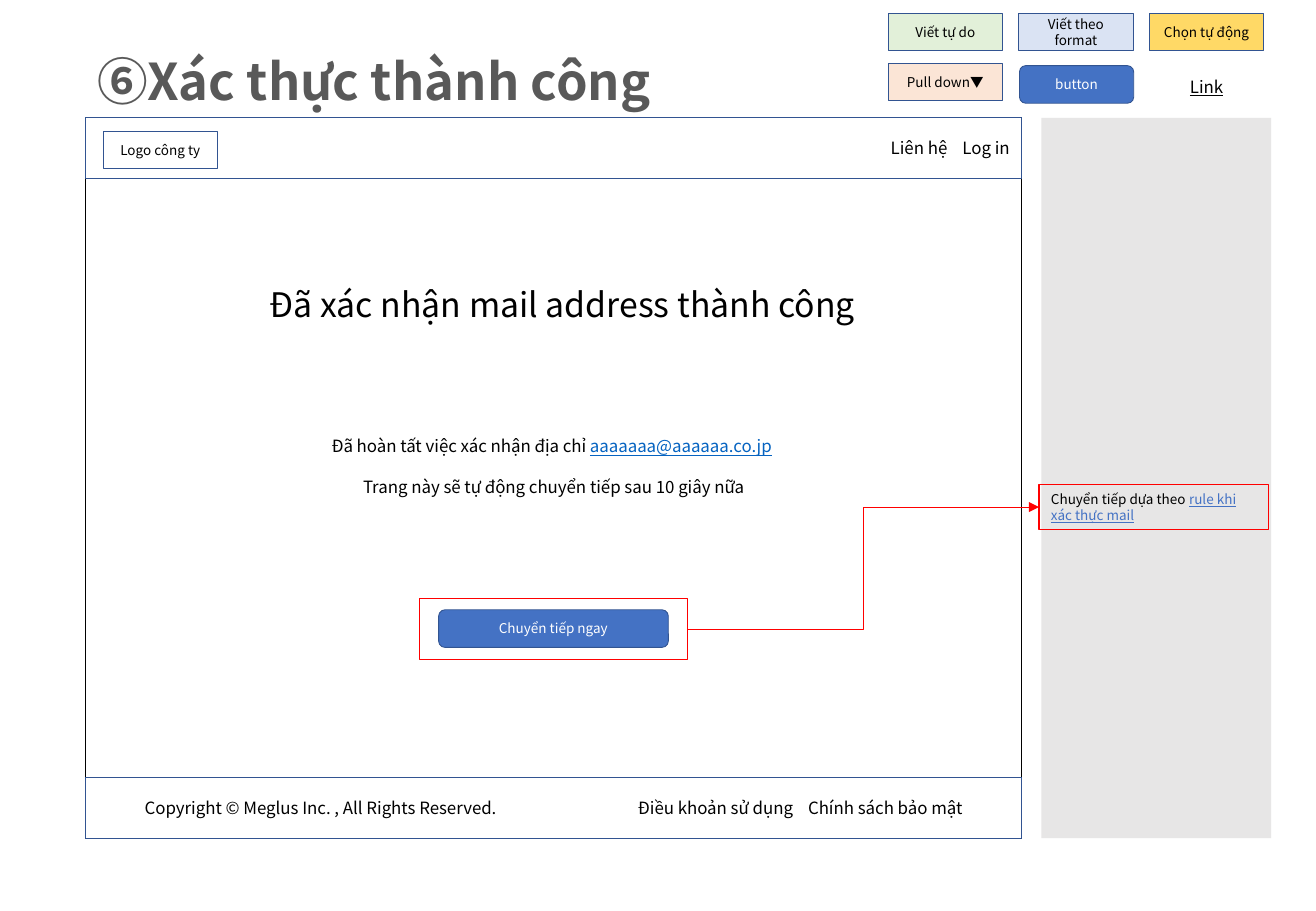
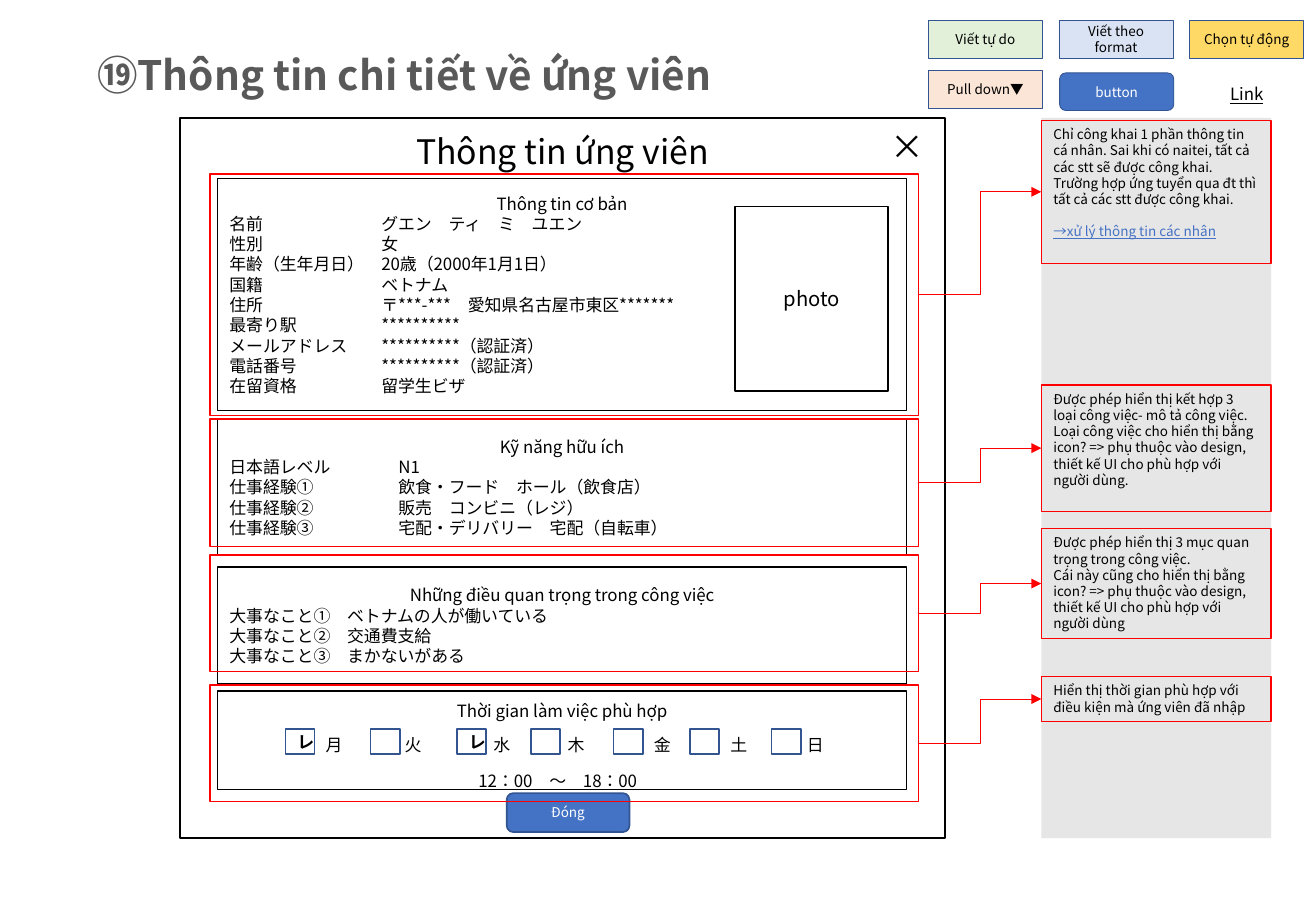
from lxml.etree import SubElement
from pptx import Presentation
from pptx.dml.color import RGBColor
from pptx.enum.shapes import MSO_CONNECTOR, MSO_SHAPE
from pptx.enum.text import MSO_ANCHOR, PP_ALIGN
from pptx.oxml.ns import qn
from pptx.util import Inches, Pt

COLORS = {
    "ink": "000000", "title": "595959", "white": "FFFFFF", "sidebar": "E7E6E6",
    "blue": "4472C4", "navy": "325491", "red": "FF0000", "mail": "0563C1",
    "green": "E2F0D9", "peach": "FBE5D6", "sky": "DAE3F3", "gold": "FFD966",
}
FONT = "Noto Sans CJK JP"
CELL = Inches(0.1)  # the grid has square cells, 108.3 columns by 75 rows
COLUMNS, ROWS = 108.3, 75
LEFT, CENTER = PP_ALIGN.LEFT, PP_ALIGN.CENTER
TOP, MIDDLE = MSO_ANCHOR.TOP, MSO_ANCHOR.MIDDLE
RECTANGLE, ROUNDED = MSO_SHAPE.RECTANGLE, MSO_SHAPE.ROUNDED_RECTANGLE
LINK = {"color": "blue", "underline": True}


def add_box(slide, at, paragraphs=(), kind=RECTANGLE, fill=None, line=None, width=0.5,
            align=CENTER, anchor=MIDDLE, gap=0, tabs=(), **font_values):
    """Place a box on the grid; a paragraph is a string or a list of (text, format) runs."""
    left, top, columns, rows = (round(cells * CELL) for cells in at)
    if kind is None:
        shape = slide.shapes.add_textbox(left, top, columns, rows)
    else:
        shape = slide.shapes.add_shape(kind, left, top, columns, rows)
        shape.shadow.inherit = False
        for part, color in ((shape.fill, fill), (shape.line.fill, line)):
            if color:
                part.solid()
                part.fore_color.rgb = RGBColor.from_string(COLORS[color])
            else:
                part.background()
        if line:
            shape.line.width = Pt(width)
    frame = shape.text_frame
    frame.word_wrap = True
    frame.vertical_anchor = anchor
    for index, runs in enumerate(paragraphs):
        paragraph = frame.add_paragraph() if index else frame.paragraphs[0]
        paragraph.alignment = align
        if gap and index == len(paragraphs) - 1:
            paragraph.space_before = Pt(gap)
        if tabs:
            tab_list = SubElement(paragraph._p.get_or_add_pPr(), qn("a:tabLst"))
            for tab in tabs:
                SubElement(tab_list, qn("a:tab"), pos=str(round(tab * CELL)), algn="l")
        for text, changes in [(runs, {})] if isinstance(runs, str) else runs:
            values = {"name": FONT, "size": 10, "color": "ink", **font_values, **changes}
            values["size"] = Pt(values["size"])
            run = paragraph.add_run()
            run.text = text
            run.font.color.rgb = RGBColor.from_string(COLORS[values.pop("color")])
            for name, value in values.items():
                setattr(run.font, name, value)
            SubElement(run._r.get_or_add_rPr(), qn("a:ea"), typeface=FONT)
    return shape


def add_arrow(slide, source, note):
    """Join the right side of a frame to the left side of its note."""
    arrow = slide.shapes.add_connector(MSO_CONNECTOR.ELBOW, 0, 0, 0, 0)
    arrow.begin_connect(source, 3)
    arrow.end_connect(note, 1)
    arrow.line.color.rgb = RGBColor.from_string(COLORS["red"])
    arrow.line.width = Pt(0.5)
    SubElement(arrow.line._get_or_add_ln(), qn("a:tailEnd"), type="triangle")
    SubElement(arrow._element.spPr, qn("a:effectLst"))


presentation = Presentation()
presentation.slide_width = round(COLUMNS * CELL)
presentation.slide_height = ROWS * CELL

# Shared parts: title, sidebar and legend
NOTE_STYLE = {"line": "red", "width": 0.75, "align": LEFT, "anchor": TOP, "size": 8}
BUTTON = {"kind": ROUNDED, "fill": "blue", "line": "navy", "size": 8, "color": "white"}
BODY_TOP, BODY_ROWS = 9.7, 59.3
NOTE_LEFT, NOTE_COLUMNS = 85.7, 18.9
KEY_COLUMNS, KEY_ROWS = 9.4, 3.1
KEY_STEP, KEY_DROP = 10.75, 4.1
LEGEND = [("Viết tự do", "green", 0, 0), ("Viết theo format", "sky", 1, 0),
          ("Chọn tự động", "gold", 2, 0), ("Pull down▼", "peach", 0, 1)]
SLIDES = [("⑥Xác thực thành công", 30, 6.1, 73.1, 1.1),
          ("⑲Thông tin chi tiết về ứng viên", 24, 5, 76.4, 1.7)]

slides = []
for title, size, rows, legend_left, legend_top in SLIDES:
    slide = presentation.slides.add_slide(presentation.slide_layouts[6])
    slides.append(slide)
    add_box(slide, (7, 3.6, 93.9, rows), [title], kind=None, align=LEFT, anchor=TOP,
            size=size, color="title", bold=True)
    add_box(slide, (NOTE_LEFT, BODY_TOP, NOTE_COLUMNS, BODY_ROWS), fill="sidebar")
    for label, color, column, row in LEGEND:
        add_box(slide, (legend_left + column * KEY_STEP, legend_top + row * KEY_DROP,
                        KEY_COLUMNS, KEY_ROWS),
                [label], fill=color, line="navy", size=8)
    add_box(slide, (legend_left + 10.8, legend_top + 4.3, KEY_COLUMNS, KEY_ROWS),
            ["button"], **BUTTON)
    add_box(slide, (legend_left + 2 * KEY_STEP, legend_top + 4.7, KEY_COLUMNS, 2.7),
            ["Link"], kind=None, anchor=TOP, underline=True)
confirmation, applicant = slides

# Confirmation page: window with header and footer
PAGE_LEFT, PAGE_COLUMNS, BAR_ROWS = 7, 77.1, 5
add_box(confirmation, (PAGE_LEFT, BODY_TOP, PAGE_COLUMNS, BODY_ROWS), line="ink")
BARS = [(BODY_TOP, "Liên hệ\tLog in", 66.3, [5.9]),
        (BODY_TOP + BODY_ROWS - BAR_ROWS,
         "Copyright © Meglus Inc. , All Rights Reserved.\tĐiều khoản sử dụng\tChính sách bảo mật",
         4.9, [40.6, 54.6])]
for top, text, indent, tabs in BARS:
    bar = add_box(confirmation, (PAGE_LEFT, top, PAGE_COLUMNS, BAR_ROWS), [text],
                  line="navy", align=LEFT, tabs=tabs)
    bar.text_frame.margin_left = round(indent * CELL)
    bar.text_frame.margin_right = 0
add_box(confirmation, (8.5, 10.8, KEY_COLUMNS, KEY_ROWS), ["Logo công ty"],
        line="navy", size=8)

# Confirmation page: messages, button and its note
add_box(confirmation, (14.8, 22.9, 63, 4.4), ["Đã xác nhận mail address thành công"],
        kind=None, anchor=TOP, size=20)
add_box(confirmation, (PAGE_LEFT, 35.4, PAGE_COLUMNS, 6.1),
        [[("Đã hoàn tất việc xác nhận địa chỉ ", {}),
          ("aaaaaaa@aaaaaa.co.jp", {"color": "mail", "underline": True}), (" ", {})],
         "Trang này sẽ tự động chuyển tiếp sau 10 giây nữa"],
        kind=None, anchor=TOP, gap=12)
add_box(confirmation, (36.1, 50.2, 18.9, KEY_ROWS), ["Chuyển tiếp ngay"], **BUTTON)
button_frame = add_box(confirmation, (34.5, 49.3, 22.1, 5), line="red")
redirect_note = add_box(confirmation, (85.5, 39.9, NOTE_COLUMNS, 3.7),
                        [[("Chuyển tiếp dựa theo ", {}), ("rule khi xác thực mail", LINK)]],
                        **NOTE_STYLE)
add_arrow(confirmation, button_frame, redirect_note)

# Applicant page: window
WINDOW_LEFT, WINDOW_COLUMNS = 14.8, 63
add_box(applicant, (WINDOW_LEFT, BODY_TOP, WINDOW_COLUMNS, BODY_ROWS), line="ink", width=1)
for text, left, top, columns in [("Thông tin ứng viên", WINDOW_LEFT, 10.3, WINDOW_COLUMNS),
                                 ("×", 71.5, 9.9, 6.3)]:
    add_box(applicant, (left, top, columns, 4.4), [text], kind=None, anchor=TOP, size=20)

# Applicant page: cards with a centred heading over lines of label and value
CARD_LEFT, CARD_COLUMNS = 17.9, 56.7
CARDS = [
    (14.7, 19.1, [12.5], [
        "Thông tin cơ bản", "名前\tグエン　ティ　ミ　ユエン", "性別\t女",
        "年齢（生年月日）\t20歳（2000年1月1日）", "国籍\tベトナム",
        "住所\t〒***-***　愛知県名古屋市東区*******", "最寄り駅\t**********",
        "メールアドレス\t**********（認証済）", "電話番号\t**********（認証済）",
        "在留資格\t留学生ビザ"]),
    (34.5, 11.2, [13.9], [
        "Kỹ năng hữu ích", "日本語レベル\tN1", "仕事経験①\t飲食・フード　ホール（飲食店）",
        "仕事経験②\t販売　コンビニ（レジ）", "仕事経験③\t宅配・デリバリー　宅配（自転車）"]),
    (46.7, 9.6, [], [
        "Những điều quan trọng trong công việc", "大事なこと①　ベトナムの人が働いている",
        "大事なこと②　交通費支給", "大事なこと③　まかないがある"]),
    (56.9, 8.1, [], []),
]
for top, rows, tabs, lines in CARDS:
    card = add_box(applicant, (CARD_LEFT, top, CARD_COLUMNS, rows), lines,
                   line="ink", width=1, tabs=tabs)
    for paragraph in card.text_frame.paragraphs[1:]:
        paragraph.alignment = LEFT
add_box(applicant, (60.5, 17, 12.6, 15.2), ["photo"], line="ink", width=1, size=12)

# Applicant page: working days and hours
add_box(applicant, (CARD_LEFT, 57.2, CARD_COLUMNS, 2.7), ["Thời gian làm việc phù hợp"],
        kind=None, anchor=TOP)
DAYS = [("月", 23.5, 24.8, ["レ"]), ("火", 30.5, 31.3, []), ("水", 37.6, 38.6, ["レ"]),
        ("木", 43.7, 44.7, []), ("金", 50.5, 51.8, []), ("土", 56.8, 58.1, []),
        ("日", 63.5, 64.4, [])]
for day, check_left, label_left, mark in DAYS:
    add_box(applicant, (check_left, 60, 2.4, 2.1), mark, line="navy", width=1, bold=True)
    add_box(applicant, (label_left, 60, 5.4, 2.7), [day], kind=None, anchor=TOP)
add_box(applicant, (34.9, 62.7, 22, KEY_ROWS), ["12：00　～　18：00"], kind=None)
add_box(applicant, (41.7, 65.3, 10.1, 3.2), ["Đóng"], width=1, **BUTTON)

# Applicant page: red frames, each with its note
FRAME_LEFT, FRAME_COLUMNS = 17.3, 58.3
NOTES = [
    (14.3, 19.9, 9.9, 11.8, 9.6, [
        "Chỉ công khai 1 phần thông tin cá nhân. Sai khi có naitei, tất cả các stt sẽ được công khai.",
        "Trường hợp ứng tuyển qua đt thì tất cả các stt được công khai.",
        [("→xử lý thông tin các nhân", LINK)]]),
    (34.5, 10.5, 31.7, 10.4, 0, [
        "Được phép hiển thị kết hợp 3 loại công việc- mô tả công việc.",
        "Loại công việc cho hiển thị bằng icon? => phụ thuộc vào design, "
        "thiết kế UI cho phù hợp với người dùng."]),
    (45.7, 9.6, 43.5, 9.1, 0, [
        "Được phép hiển thị 3 mục quan trọng trong công việc.",
        "Cái này cũng cho hiển thị bằng icon? => phụ thuộc vào design, "
        "thiết kế UI cho phù hợp với người dùng"]),
    (56.4, 9.6, 55.7, 3.7, 0, [
        "Hiển thị thời gian phù hợp với điều kiện mà ứng viên đã nhập"]),
]
for frame_top, frame_rows, note_top, note_rows, gap, lines in NOTES:
    frame = add_box(applicant, (FRAME_LEFT, frame_top, FRAME_COLUMNS, frame_rows),
                    line="red", width=1)
    note = add_box(applicant, (NOTE_LEFT, note_top, NOTE_COLUMNS, note_rows), lines,
                   gap=gap, **NOTE_STYLE)
    add_arrow(applicant, frame, note)

presentation.save("out.pptx")
